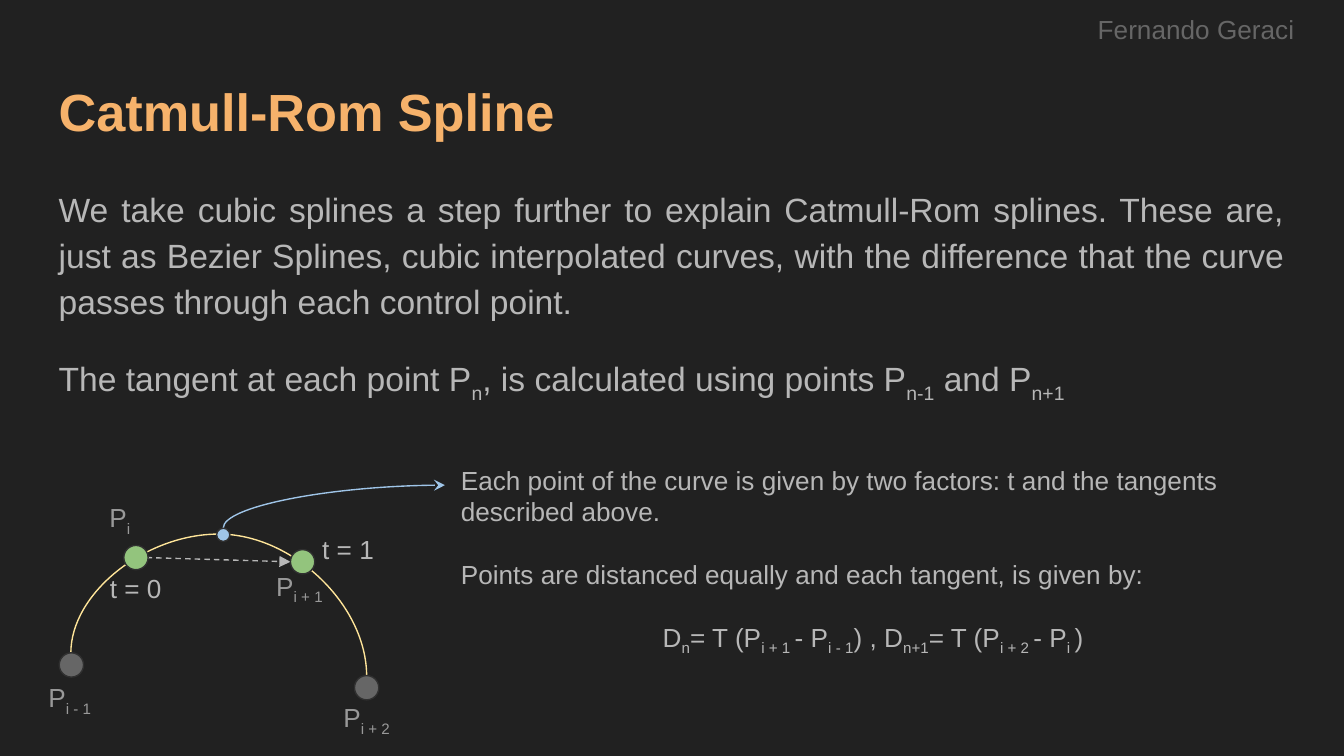
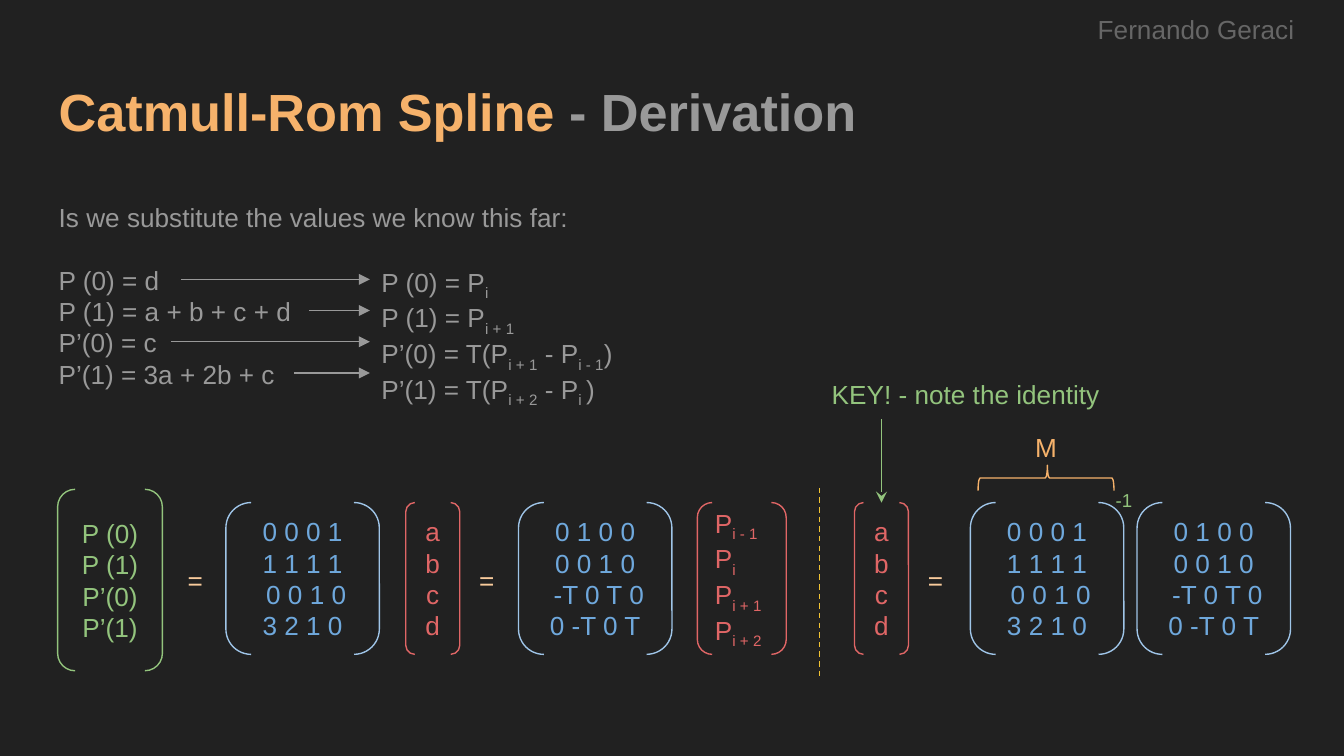
from dataclasses import dataclass

from lxml import etree
from pptx import Presentation
from pptx.dml.color import RGBColor
from pptx.enum.dml import MSO_LINE
from pptx.enum.shapes import MSO_CONNECTOR, MSO_SHAPE
from pptx.enum.text import MSO_ANCHOR, PP_ALIGN
from pptx.oxml.ns import qn
from pptx.util import Cm, Pt

LEFT, CENTER, JUSTIFY = PP_ALIGN.LEFT, PP_ALIGN.CENTER, PP_ALIGN.JUSTIFY
TOP, MIDDLE = MSO_ANCHOR.TOP, MSO_ANCHOR.MIDDLE
STRAIGHT, CURVE = MSO_CONNECTOR.STRAIGHT, MSO_CONNECTOR.CURVE
OVAL, BRACKETS, BRACE = MSO_SHAPE.OVAL, MSO_SHAPE.DOUBLE_BRACKET, MSO_SHAPE.RIGHT_BRACE
DASH = MSO_LINE.DASH


@dataclass(frozen=True)
class Theme:
    font: str = "Arial"
    background: str = "212121"
    outline: str = "303030"
    dark_gray: str = "666666"
    gray: str = "999999"
    light_gray: str = "B7B7B7"
    orange: str = "F6B26B"
    peach: str = "F9CB9C"
    cream: str = "FFE599"
    gold: str = "F1C232"
    green: str = "93C47D"
    red: str = "E06666"
    blue: str = "6FA8DC"
    light_blue: str = "9FC5E8"
    title_size: float = 28
    body_size: float = 18
    text_size: float = 14
    small_size: float = 10
    line_width: float = 0.75
    blank_line: float = 16.7
    margin: float = 0.25


THEME = Theme()
CONTENT_LEFT, CONTENT_WIDTH = 0.86, 23.67
MATRIX_TOP, MATRIX_HEIGHT, MATRIX_WIDTH, VECTOR_WIDTH = 9.5, 2.87, 2.9, 1.02
HERMITE = ["0 0 0 1", "1 1 1 1", " 0 0 1 0", "3 2 1 0"]
TANGENTS = ["0 1 0 0", "0 0 1 0", " -T 0 T 0", "0 -T 0 T"]
COEFFICIENTS = ["a", "b", "c", "d"]


def rgb(color):
    return RGBColor.from_string(color)


def add_spans(para, text):
    """Add text in which each part between ~ marks is a subscript."""
    for index, part in enumerate(text.split("~")):
        if part:
            span = para.add_run()
            span.text = part
            if index % 2:
                span._r.get_or_add_rPr().set("baseline", "-25000")


def write(box, lines, color, size=THEME.text_size, align=LEFT, anchor=TOP):
    """Fill a shape with one paragraph per line and return the paragraphs."""
    frame = box.text_frame
    frame.word_wrap = True
    frame.vertical_anchor = anchor
    frame.margin_left = frame.margin_right = Cm(THEME.margin)
    frame.margin_top = frame.margin_bottom = Cm(THEME.margin)
    for index, line in enumerate(lines):
        para = frame.add_paragraph() if index else frame.paragraphs[0]
        para.alignment = align
        para.font.name = THEME.font
        para.font.size = Pt(size)
        para.font.color.rgb = rgb(color)
        add_spans(para, line)
    return frame.paragraphs


def add_text(page, left, top, width, height, lines, color, **style):
    box = page.shapes.add_textbox(Cm(left), Cm(top), Cm(width), Cm(height))
    return write(box, lines, color, **style)


def add_label(page, left, top, width, height, text, color, size=THEME.text_size, align=CENTER):
    add_text(page, left, top, width, height, [text], color, size=size, align=align, anchor=MIDDLE)


def add_outline(page, preset, left, top, width, height, color):
    shape = page.shapes.add_shape(preset, Cm(left), Cm(top), Cm(width), Cm(height))
    shape.shadow.inherit = False
    shape.fill.background()
    shape.line.color.rgb = rgb(color)
    shape.line.width = Pt(THEME.line_width)
    return shape


def add_dot(page, x, y, diameter, color):
    dot = add_outline(page, OVAL, x - diameter / 2, y - diameter / 2,
                      diameter, diameter, THEME.outline)
    dot.fill.solid()
    dot.fill.fore_color.rgb = rgb(color)


def add_brackets(page, left, width, lines, line_color, text_color,
                 top=MATRIX_TOP, height=MATRIX_HEIGHT, align=CENTER):
    shape = add_outline(page, BRACKETS, left, top, width, height, line_color)
    write(shape, lines, text_color, align=align, anchor=MIDDLE)


def add_matrix(page, left, rows):
    add_brackets(page, left, MATRIX_WIDTH, rows, THEME.light_blue, THEME.blue)


def add_line(page, start, end, color, arrow=None, dash=None, kind=STRAIGHT):
    line = page.shapes.add_connector(kind, *(Cm(value) for value in (*start, *end)))
    line.line.color.rgb = rgb(color)
    line.line.width = Pt(THEME.line_width)
    if dash:
        line.line.dash_style = dash
    properties = line._element.spPr
    if arrow:
        etree.SubElement(properties.find(qn("a:ln")), qn("a:tailEnd"), type=arrow)
    etree.SubElement(properties, qn("a:effectLst"))
    return line


def add_rising_curve(page, start, end, color, preset, bend=None, arrow=None):
    """Draw a curve that leaves start upwards: a connector turned by 270 degrees."""
    middle_x, middle_y = (start[0] + end[0]) / 2, (start[1] + end[1]) / 2
    half_x, half_y = (end[0] - start[0]) / 2, (end[1] - start[1]) / 2
    curve = add_line(page, (middle_x + half_y, middle_y - half_x),
                     (middle_x - half_y, middle_y + half_x), color, arrow, kind=CURVE)
    properties = curve._element.spPr
    properties.find(qn("a:xfrm")).set("rot", str(270 * 60000))
    geometry = properties.find(qn("a:prstGeom"))
    geometry.set("prst", preset)
    if bend is not None:
        guides = geometry.find(qn("a:avLst"))
        etree.SubElement(guides, qn("a:gd"), name="adj1", fmla=f"val {round(bend * 100000)}")


def add_page(deck, suffix=""):
    """Add a page with the background, the title and the author."""
    page = deck.slides.add_slide(deck.slide_layouts[6])
    page.background.fill.solid()
    page.background.fill.fore_color.rgb = rgb(THEME.background)
    title = add_text(page, CONTENT_LEFT, 1.24, CONTENT_WIDTH, 1.6,
                     ["Catmull-Rom Spline" + (" " if suffix else "")],
                     THEME.orange, size=THEME.title_size)[0]
    title.font.bold = True
    if suffix:
        span = title.add_run()
        span.text = suffix
        span.font.color.rgb = rgb(THEME.gray)
    add_text(page, 19.81, 0, 5.59, 1.17, ["Fernando Geraci"], THEME.dark_gray, align=CENTER)
    return page


def add_spline_diagram(page):
    add_rising_curve(page, (1.34, 12.34), (6.93, 12.78), THEME.cream,
                     "curvedConnector3", bend=-5.1)
    add_line(page, (2.77, 10.54), (5.49, 10.62), THEME.light_gray, "triangle", DASH)
    add_rising_curve(page, (4.22, 9.98), (8.41, 9.17), THEME.light_blue,
                     "curvedConnector2", arrow="stealth")
    for x, y, diameter, color in [
        (1.35, 12.57, 0.46, THEME.dark_gray),
        (6.93, 13, 0.46, THEME.dark_gray),
        (2.57, 10.54, 0.46, THEME.green),
        (5.72, 10.62, 0.46, THEME.green),
        (4.22, 10.11, 0.25, THEME.light_blue),
    ]:
        add_dot(page, x, y, diameter, color)
    for left, top, width, height, text, color in [
        (4.9, 10.59, 1.52, 1.04, "P~i + 1~", THEME.gray),
        (5.82, 10.01, 1.52, 0.74, "t = 1", THEME.light_gray),
        (1.65, 10.74, 1.83, 0.74, "t = 0", THEME.light_gray),
        (1.12, 9.12, 2.29, 1.4, "P~i~", THEME.gray),
        (0.56, 12.7, 1.52, 1.04, "P~i - 1~", THEME.gray),
        (6.17, 13.08, 1.52, 1.04, "P~i + 2~", THEME.gray),
    ]:
        add_label(page, left, top, width, height, text, color)


def build_spline_page(deck):
    page = add_page(deck)
    intro = add_text(page, CONTENT_LEFT, 3.2, CONTENT_WIDTH, 10.59, [
        "We take cubic splines a step further to explain Catmull-Rom splines. "
        "These are, just as Bezier Splines, cubic interpolated curves, with the "
        "difference that the curve passes through each control point.",
        "The tangent at each point P~n~, is calculated using points P~n-1~ and P~n+1~",
    ], THEME.light_gray, size=THEME.body_size, align=JUSTIFY)
    for para in intro:
        para.line_spacing = 1.15
        para.space_after = Pt(16)
    add_spline_diagram(page)
    factors = add_text(page, 8.46, 8.53, 16.08, 5.23, [
        "Each point of the curve is given by two factors: t and the tangents described above.",
        "Points are distanced equally and each tangent, is given by:",
        "D~n~= T (P~i + 1 ~- P~i - 1~) , D~n+1~= T (P~i + 2 ~- P~i ~)",
    ], THEME.light_gray)
    for para in factors[1:]:
        para.space_before = Pt(THEME.blank_line)
    factors[-1].alignment = CENTER


def add_substitutions(page):
    known = add_text(page, CONTENT_LEFT, 3.56, CONTENT_WIDTH, 4.04, [
        "Is we substitute the values we know this far:",
        "P (0) = d",
        "P (1) = a + b + c + d",
        "P’(0) = c",
        "P’(1) = 3a + 2b + c",
    ], THEME.gray)
    known[1].space_before = Pt(THEME.blank_line)
    add_text(page, 6.96, 4.78, 5.33, 2.87, [
        "P (0) = P~i~",
        "P (1) = P~i + 1~",
        "P’(0) = T(P~i + 1~ - P~i - 1~)",
        "P’(1) = T(P~i + 2~ - P~i ~)",
    ], THEME.gray)
    for row, left in enumerate([3.43, 5.84, 3.23, 5.56]):
        y = 5.28 + 0.59 * row
        add_line(page, (left, y), (6.99, y), THEME.gray, "triangle")


def add_matrix_equations(page):
    add_brackets(page, 1.09, 1.98, ["P (0)", "P (1)", "P’(0)", "P’(1)"],
                 THEME.green, THEME.green, top=9.25, height=3.43)
    for left, rows in [(4.27, HERMITE), (9.8, TANGENTS), (18.34, HERMITE), (21.49, TANGENTS)]:
        add_matrix(page, left, rows)
    for left in (7.67, 16.15):
        add_brackets(page, left, VECTOR_WIDTH, COEFFICIENTS, THEME.red, THEME.red)
    add_brackets(page, 13.18, 1.68, ["P~i - 1~", "P~i~", "P~i + 1~", "P~i + 2~"],
                 THEME.red, THEME.red, align=LEFT)
    for left in (3.18, 8.69, 17.17):
        add_label(page, left, 10.49, 1.02, 0.94, "=", THEME.peach)
    add_line(page, (15.49, 9.22), (15.49, 12.83), THEME.gold, dash=DASH)


def add_matrix_notes(page):
    add_label(page, 20.62, 8.92, 1.24, 1.07, "-1", THEME.green, size=THEME.small_size)
    brace = add_outline(page, BRACE, 19.53, 7.75, 0.48, 2.57, THEME.orange)
    brace.rotation = 270
    brace.adjustments[0] = 0.08
    brace.adjustments[1] = 0.51
    add_label(page, 19.15, 8.05, 1.24, 0.79, "M", THEME.orange)
    add_label(page, 15.47, 6.91, 8.92, 1.07, "KEY! - note the identity", THEME.green, align=LEFT)
    add_line(page, (16.66, 7.92), (16.66, MATRIX_TOP), THEME.green, "stealth")


def build_derivation_page(deck):
    page = add_page(deck, "- Derivation")
    add_substitutions(page)
    add_matrix_equations(page)
    add_matrix_notes(page)


def main():
    deck = Presentation()
    deck.slide_width, deck.slide_height = Cm(25.4), Cm(14.29)
    build_spline_page(deck)
    build_derivation_page(deck)
    deck.save("out.pptx")


if __name__ == "__main__":
    main()
